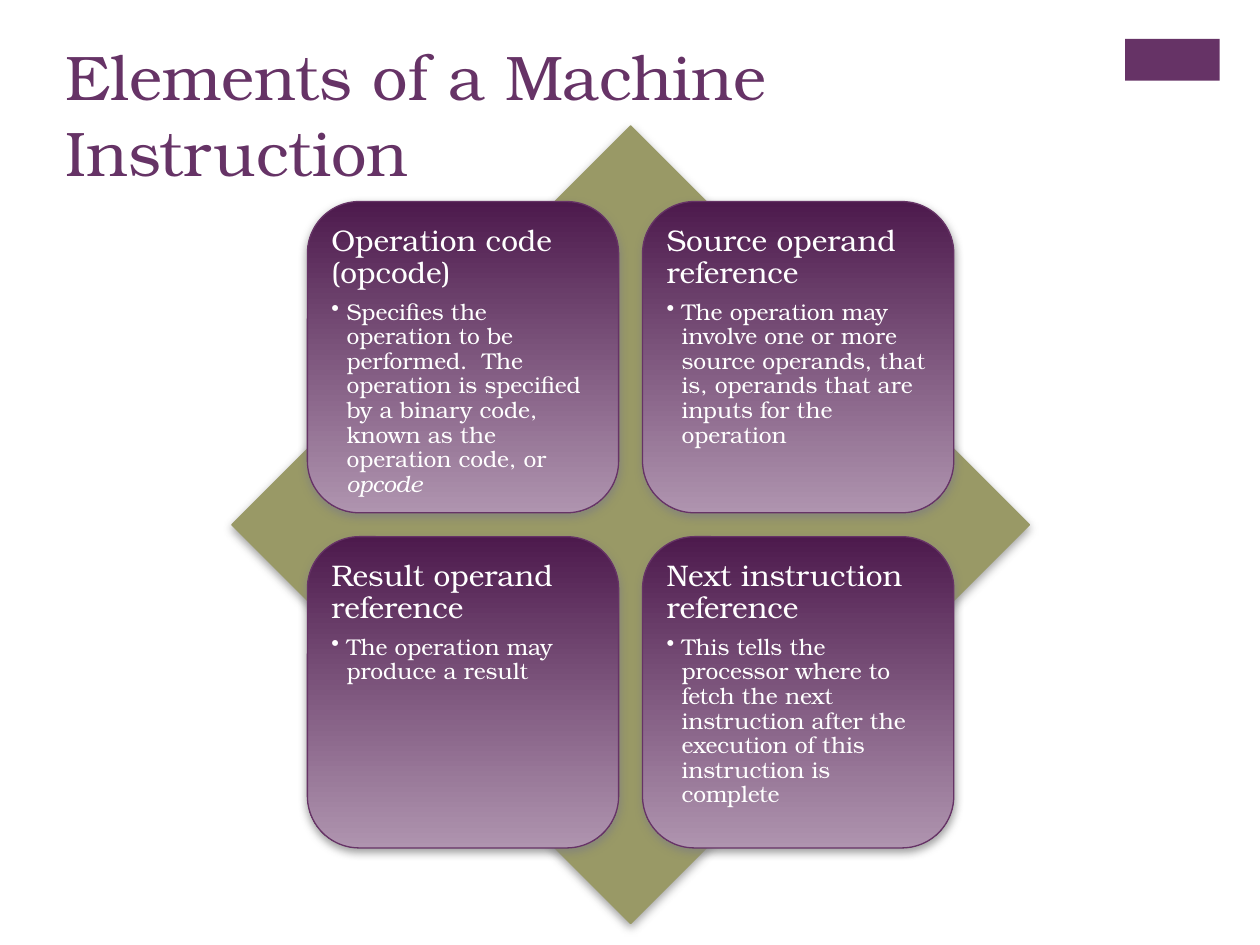
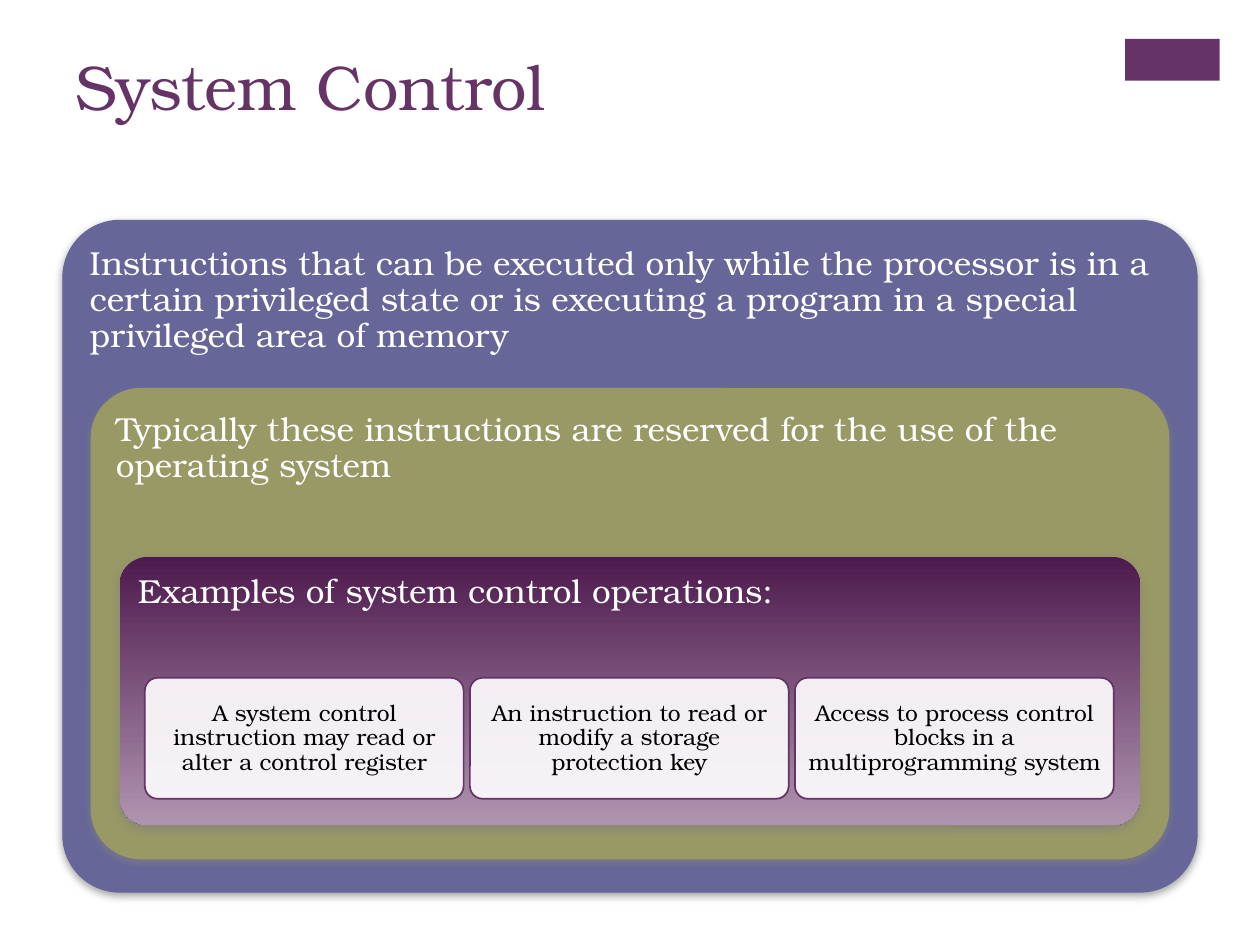
from lxml import etree
from pptx import Presentation
from pptx.dml.color import RGBColor
from pptx.enum.shapes import MSO_SHAPE
from pptx.enum.text import MSO_ANCHOR, PP_ALIGN
from pptx.oxml import parse_xml
from pptx.oxml.ns import qn
from pptx.util import Inches, Pt

RECT, DIAMOND, ROUNDED = MSO_SHAPE.RECTANGLE, MSO_SHAPE.DIAMOND, MSO_SHAPE.ROUNDED_RECTANGLE
TOP, MIDDLE = MSO_ANCHOR.TOP, MSO_ANCHOR.MIDDLE
LEFT, CENTER = PP_ALIGN.LEFT, PP_ALIGN.CENTER

FONT = "TeX Gyre Bonum"
PURPLE, OLIVE, BLUE, WHITE, BLACK = "663366", "999966", "666699", "FFFFFF", "000000"
PURPLE_FADE = ("4D1A4D", "AF94AF")
SHADOW = (
    '<a:effectLst xmlns:a="http://schemas.openxmlformats.org/drawingml/2006/main">'
    f'<a:outerShdw blurRad="{Pt(5)}" dist="{Pt(2)}" dir="5400000" rotWithShape="0">'
    '<a:srgbClr val="808080"><a:alpha val="75000"/></a:srgbClr>'
    '</a:outerShdw></a:effectLst>'
)
rgb = RGBColor.from_string


def add_block(page, kind, at, fill, line=None, weight=0.75, corner=None, shadow=True):
    """Add a shape; a pair of colours as fill gives a top-to-bottom gradient."""
    block = page.shapes.add_shape(kind, *map(Inches, at))
    if corner is not None:
        block.adjustments[0] = corner
    if isinstance(fill, tuple):
        block.fill.gradient()
        block.fill.gradient_angle = 270
        for stop, position, color in zip(block.fill.gradient_stops, (0, 1), fill):
            stop.position = position
            stop.color.rgb = rgb(color)
    else:
        block.fill.solid()
        block.fill.fore_color.rgb = rgb(fill)
    if line:
        block.line.color.rgb = rgb(line)
        block.line.width = Pt(weight)
    else:
        block.line.fill.background()
    block.shadow.inherit = False
    if shadow:
        properties = block.fill._xPr
        properties.replace(properties.find(qn("a:effectLst")), parse_xml(SHADOW))
    return block


def add_text(box, spans, size, color, inset, anchor=TOP, first=True, **formats):
    """Write one paragraph; each span is a pair of text and italic."""
    frame = box.text_frame
    frame_formats = {"word_wrap": True, "vertical_anchor": anchor}
    for side in ("left", "top", "right", "bottom"):
        frame_formats[f"margin_{side}"] = Inches(inset)
    for name, value in frame_formats.items():
        setattr(frame, name, value)
    para = frame.paragraphs[0] if first else frame.add_paragraph()
    for name, value in {"alignment": LEFT, **formats}.items():
        setattr(para, name, value)
    for text, italic in spans:
        span = para.add_run()
        span.text = text
        for name, value in {"name": FONT, "size": Pt(size), "italic": italic}.items():
            setattr(span.font, name, value)
        span.font.color.rgb = rgb(color)
    return para


deck = Presentation()
deck.slide_width, deck.slide_height = Inches(10), Inches(7.5)

# Shared title and corner band
pages = []
for title, left, top in (
    ("Elements of a Machine Instruction", 0.42, 0.25),
    ("System Control", 0.5, 0.33),
):
    page = deck.slides.add_slide(deck.slide_layouts[6])
    add_block(page, RECT, (8.93, 0.31, 0.75, 0.33), PURPLE, shadow=False)
    title_box = page.shapes.add_textbox(*map(Inches, (left, top, 8.26, 1.22)))
    add_text(title_box, [(title, None)], 36, PURPLE, 0.05)
    title_box.text_frame.margin_left = title_box.text_frame.margin_right = Inches(0.1)
    pages.append(page)
elements_page, control_page = pages

# Four instruction elements on a diamond
elements = [
    ("Operation code (opcode)", [
        ("Specifies the operation to be performed.  The operation is specified "
         "by a binary code, known as the operation code, or ", None),
        ("opcode", True)]),
    ("Source operand reference", [
        ("The operation may involve one or more source operands, that is, "
         "operands that are inputs for the operation", None)]),
    ("Result operand reference", [("The operation may produce a result", None)]),
    ("Next instruction reference", [
        ("This tells the processor where to fetch the next instruction after "
         "the execution of this instruction is complete", None)]),
]
CARD_SIZE, CARD_PITCH = 2.47, 2.66
add_block(elements_page, DIAMOND, (1.84, 1, 6.33, 6.33), OLIVE, OLIVE)
for index, (heading, detail) in enumerate(elements):
    row, column = divmod(index, 2)
    at = (2.44 + column * CARD_PITCH, 1.6 + row * CARD_PITCH, CARD_SIZE, CARD_SIZE)
    card = add_block(elements_page, ROUNDED, at, PURPLE_FADE, PURPLE)
    add_text(card, [(heading, None)], 17, WHITE, 0.07,
             line_spacing=0.9, space_after=Pt(6))
    para = add_text(card, detail, 13, WHITE, 0.07, first=False,
                    level=1, line_spacing=0.9, space_after=Pt(2))
    indents = para._p.get_or_add_pPr()
    indents.set("marL", str(Inches(0.12)))
    indents.set("indent", str(-Inches(0.12)))
    etree.SubElement(indents, qn("a:buChar")).set("char", "•")

# Nested panels, each one a step further in
panels = [
    ("Instructions that can be executed only while the processor is in a certain "
     "privileged state or is executing a program in a special privileged area of memory",
     BLUE, BLUE, 0.085),
    ("Typically these instructions are reserved for the use of the operating system",
     OLIVE, OLIVE, 0.105),
    ("Examples of system control operations:", PURPLE_FADE, None, 0.105),
]
for depth, (text, fill, line, corner) in enumerate(panels):
    left = 0.5 + 0.225 * depth
    at = (left, 1.75 + 1.335 * depth, 10 - 2 * left, 5.33 - 1.6 * depth)
    panel = add_block(control_page, ROUNDED, at, fill, line, corner=corner)
    add_text(panel, [(text, None)], 19, WHITE, 0.08, line_spacing=0.9)

examples = [
    "A system control instruction may read or alter a control register",
    "An instruction to read or modify a storage protection key",
    "Access to process control blocks in a multiprogramming system",
]
for index, text in enumerate(examples):
    at = (1.15 + 2.58 * index, 5.38, 2.53, 0.96)
    example = add_block(control_page, ROUNDED, at, WHITE, PURPLE, 1, 0.105, shadow=False)
    white = example.fill._xPr.find(qn("a:solidFill"))[0]
    etree.SubElement(white, qn("a:alpha")).set("val", "90000")
    add_text(example, [(text, None)], 13, BLACK, 0.05, MIDDLE,
             alignment=CENTER, line_spacing=0.9)

deck.save("out.pptx")
